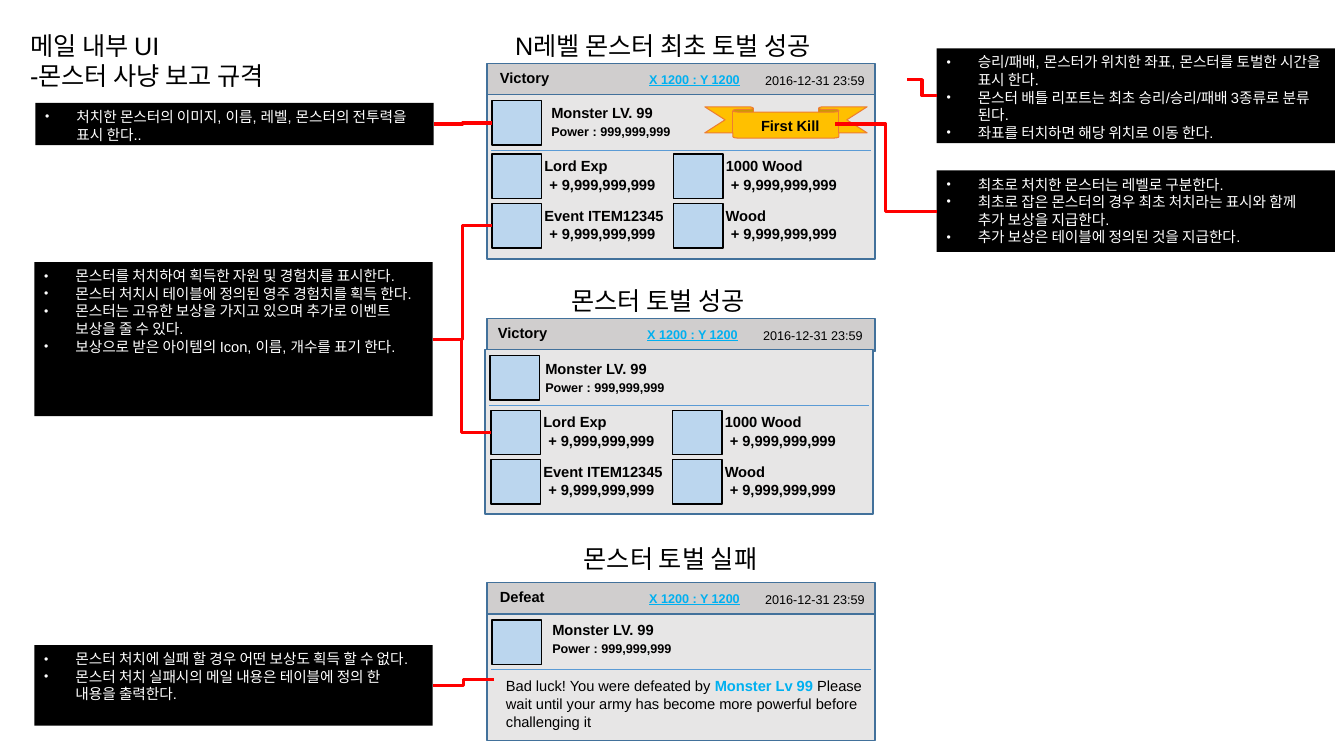
import lxml.etree
import pptx
import pptx.dml.color
import pptx.enum.shapes
import pptx.enum.text
import pptx.oxml.ns
import pptx.util

HUES = {"black": "000000", "white": "FFFFFF", "head": "D0CECE", "body": "E7E6E6",
        "edge": "42719B", "icon": "BBD6EE", "rule": "5B9BD5", "sky": "00B0F0",
        "gold": "FFC000", "rust": "ED7D31", "red": "FF0000"}
KINDS = pptx.enum.shapes.MSO_SHAPE
LINKS = pptx.enum.shapes.MSO_CONNECTOR
GOODS = [("Lord Exp", 161), ("1000 Wood", 102), ("Event ITEM12345", 142), ("Wood", 63)]


def px(num):
    return pptx.util.Emu(num * 9144)


def hue(name):
    return pptx.dml.color.RGBColor.from_string(HUES[name])


def add_tag(node, tag, **attrs):
    return lxml.etree.SubElement(node, pptx.oxml.ns.qn(tag), **attrs)


def add_dot(para):
    props = para._p.get_or_add_pPr()
    props.set("marL", "283464")
    props.set("indent", "-283464")
    add_tag(add_tag(props, "a:buClr"), "a:srgbClr", val=HUES["white"])
    add_tag(props, "a:buSzPct", val="83000")
    add_tag(props, "a:buFont", typeface="Arial")
    add_tag(props, "a:buChar", char="•")


def write(frame, paras, size=10.5, color="black", bold=False, under=False, dots=False):
    frame.word_wrap = True
    frame.vertical_anchor = pptx.enum.text.MSO_ANCHOR.TOP
    for num, runs in enumerate(paras):
        para = frame.add_paragraph() if num else frame.paragraphs[0]
        para.alignment = pptx.enum.text.PP_ALIGN.LEFT
        if dots:
            add_dot(para)
        for text, tint, thick in [(runs, color, bold)] if isinstance(runs, str) else runs:
            run = para.add_run()
            run.text = text
            font = run.font
            font.name = "Arial"
            font.size = pptx.util.Pt(size)
            font.bold = thick
            font.underline = under
            font.color.rgb = hue(tint)


class Board:
    """Draws battle report cards, notes and links on one slide."""

    def __init__(self, deck):
        self.items = deck.slides.add_slide(deck.slide_layouts[6]).shapes

    def text(self, x, y, w, h, *paras, **style):
        write(self.items.add_textbox(px(x), px(y), px(w), px(h)).text_frame, paras, **style)

    def shape(self, x, y, w, h, fill, line=None, kind=KINDS.RECTANGLE, width=1):
        item = self.items.add_shape(kind, px(x), px(y), px(w), px(h))
        item.shadow.inherit = False
        item.fill.solid()
        item.fill.fore_color.rgb = hue(fill)
        if line:
            item.line.color.rgb = hue(line)
            item.line.width = pptx.util.Pt(width)
        else:
            item.line.fill.background()
        return item

    def icon(self, x, y):
        return self.shape(x, y, 49, 44, "icon", "black")

    def link(self, start, end, color="red", width=2.25, kind=LINKS.ELBOW, first=None, last=None):
        item = self.items.add_connector(kind, *map(px, start + end))
        item.line.color.rgb = hue(color)
        item.line.width = pptx.util.Pt(width)
        add_tag(item._element.spPr, "a:effectLst")
        if first:
            item.begin_connect(*first)
        if last:
            item.end_connect(*last)

    def card(self, x, y, title, tall, name):
        self.shape(483, y, 385, 33, "head", "edge")
        self.text(x + 3, y, 91, 28, title, bold=True)
        self.text(x + 266, y + 4, 151, 25, "2016-12-31 23:59", size=9)
        self.text(x + 151, y + 3, 116, 25, "X 1200 : Y 1200",
                  size=9, color="sky", bold=True, under=True)
        self.shape(x, y + 31, 385, tall, "body", "edge")
        icon = self.icon(x + 5, y + 37)
        self.link((x + 4, y + 86), (x + 381, y + 86), "rule", 0.75, LINKS.STRAIGHT)
        left, top = name
        self.text(left, top, 128, 28, "Monster LV. 99", bold=True)
        self.text(left, top + 20, 170, 28, "Power : 999,999,999", size=9, bold=True)
        return icon

    def goods(self, x, y):
        icons = []
        for num, (label, wide) in enumerate(GOODS):
            left, top = x + num % 2 * 180, y + num // 2 * 49
            icons.append(self.icon(left, top))
            self.text(left + 42, top - 2, wide, 28, label, bold=True)
            self.text(left + 47, top + 16, 133, 28, "+ 9,999,999,999", bold=True)
        return icons

    def note(self, x, y, tall, *lines):
        item = self.shape(x, y, 395, tall, "black")
        write(item.text_frame, lines, color="white", dots=True)
        return item


def main():
    deck = pptx.Presentation()
    deck.slide_width, deck.slide_height = px(1333), px(750)
    board = Board(deck)
    board.text(20, 25, 312, 40, "메일 내부 UI", "-몬스터 사냥 보고 규격", size=18)
    for x, y, wide, title in [(501, 25, 353, "N레벨 몬스터 최초 토벌 성공"),
                              (557, 278, 215, "몬스터 토벌 성공"),
                              (569, 534, 215, "몬스터 토벌 실패")]:
        board.text(x, y, wide, 40, title, size=18)

    beast = board.card(483, 63, "Victory", 163, (537, 98))
    event = board.goods(488, 153)[2]
    ribbon = board.shape(699, 106, 161, 31, "gold", "rust", KINDS.DOWN_RIBBON, 0.75)
    ribbon.adjustments[0], ribbon.adjustments[1] = 0.167, 0.653
    board.text(745, 111, 153, 28, "First Kill", bold=True)
    board.card(481, 316, "Victory", 163, (531, 352))
    lord = board.goods(487, 407)[0]
    board.card(483, 578, "Defeat", 126, (538, 611))
    board.text(492, 667, 374, 63, [
        ("Bad luck! You were defeated by ", "black", False),
        ("Monster Lv 99 ", "sky", True),
        ("Please wait until your army has become more powerful before challenging it",
         "black", False)])

    place = board.note(929, 48, 94,
                       "승리/패배, 몬스터가 위치한 좌표, 몬스터를 토벌한 시간을 표시 한다.",
                       "몬스터 배틀 리포트는 최초 승리/승리/패배 3종류로 분류 된다.",
                       "좌표를 터치하면 해당 위치로 이동 한다.")
    bonus = board.note(929, 169, 81,
                       "최초로 처치한 몬스터는 레벨로 구분한다.",
                       "최초로 잡은 몬스터의 경우 최초 처치라는 표시와 함께 추가 보상을 지급한다.",
                       "추가 보상은 테이블에 정의된 것을 지급한다.")
    prize = board.note(34, 260, 153,
                       "몬스터를 처치하여 획득한 자원 및 경험치를 표시한다.",
                       "몬스터 처치시 테이블에 정의된 영주 경험치를 획득 한다.",
                       "몬스터는 고유한 보상을 가지고 있으며 추가로 이벤트 보상을 줄 수 있다.",
                       "보상으로 받은 아이템의 Icon, 이름, 개수를 표기 한다.")
    power = board.note(35, 102, 42,
                       "처치한 몬스터의 이미지, 이름, 레벨, 몬스터의 전투력을 표시 한다..")
    loss = board.note(34, 640, 80,
                      "몬스터 처치에 실패 할 경우 어떤 보상도 획득 할 수 없다.",
                      "몬스터 처치 실패시의 메일 내용은 테이블에 정의 한 내용을 출력한다.")

    board.link((929, 209), (828, 123), first=(bonus, 1))
    board.link((929, 95), (900, 79), first=(place, 1))
    board.link((490, 674), (429, 680), last=(loss, 3))
    board.link((430, 123), (488, 122), first=(power, 3), last=(beast, 1))
    board.link((429, 336), (488, 224), first=(prize, 3), last=(event, 1))
    board.link((429, 336), (487, 429), first=(prize, 3), last=(lord, 1))
    deck.save("out.pptx")


if __name__ == "__main__":
    main()
